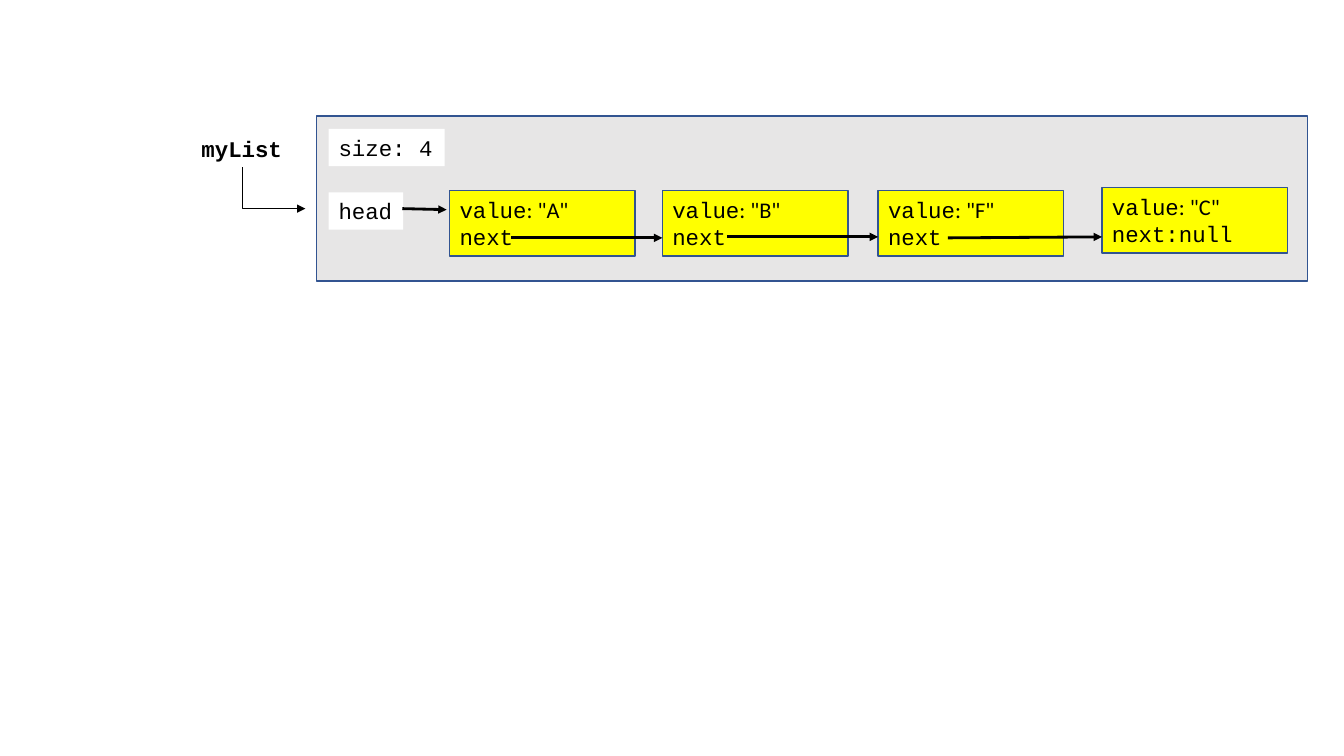
from lxml.etree import SubElement
from pptx import Presentation
from pptx.dml.color import RGBColor
from pptx.enum.shapes import MSO_CONNECTOR as Link, MSO_SHAPE as Shape
from pptx.enum.text import MSO_ANCHOR as Anchor, MSO_AUTO_SIZE as AutoSize, PP_ALIGN as Align
from pptx.oxml.ns import qn
from pptx.util import Inches, Pt

BLACK = RGBColor(0x00, 0x00, 0x00)
WHITE = RGBColor(0xFF, 0xFF, 0xFF)
GREY = RGBColor(0xE7, 0xE6, 0xE6)
YELLOW = RGBColor(0xFF, 0xFF, 0x00)
BLUE = RGBColor(0x32, 0x54, 0x91)
CODE, PLAIN = "Courier New", "Calibri"

LIST_NAME = ("myList", (1.9, 1.29, 1.01, 0.37))
LIST_OBJECT = (3.14, 1.15, 9.83, 1.64)
FIELDS = [
    ("size: 4", (3.26, 1.28, 1.15, 0.37)),
    ("head", (3.26, 1.91, 0.74, 0.37)),
]
NODE_SIZE = (1.84, 0.65)
# value, next field, left, top
NODES = [
    ("A", "next", 4.46, 1.89),
    ("B", "next", 6.57, 1.89),
    ("F", "next", 8.71, 1.89),
    ("C", "next:null", 10.93, 1.86),
]
# start x, start y, end x, end y
POINTERS = [
    (3.99, 2.07, 4.43, 2.08),
    (5.07, 2.36, 6.57, 2.36),
    (7.21, 2.35, 8.71, 2.35),
    (9.4, 2.36, 10.93, 2.35),
]
NAME_START, NAME_END = (2.4, 1.66), (3.03, 2.07)


def add_box(slide, place, fill, outline=None):
    box = slide.shapes.add_shape(Shape.RECTANGLE, *map(Inches, place))
    box.shadow.inherit = False
    box.fill.solid()
    box.fill.fore_color.rgb = fill
    if outline is None:
        box.line.fill.background()
    else:
        box.line.color.rgb = outline
        box.line.width = Pt(1)
    return box


def add_run(paragraph, words, font=CODE, bold=False):
    paragraph.alignment = Align.LEFT
    run = paragraph.add_run()
    run.text = words
    run.font.name = font
    run.font.size = Pt(16)
    run.font.bold = bold
    run.font.color.rgb = BLACK


def write_label(box, words, bold=False):
    """Put one line into a box that fits its text."""
    frame = box.text_frame
    frame.word_wrap = False
    frame.auto_size = AutoSize.SHAPE_TO_FIT_TEXT
    frame.vertical_anchor = Anchor.TOP
    add_run(frame.paragraphs[0], words, bold=bold)


def add_arrow(slide, ends, width, kind=Link.STRAIGHT):
    arrow = slide.shapes.add_connector(kind, *map(Inches, ends))
    arrow.line.color.rgb = BLACK
    arrow.line.width = Pt(width)
    properties = arrow.element.spPr
    SubElement(properties.find(qn("a:ln")), qn("a:tailEnd"), type="triangle")
    SubElement(properties, qn("a:effectLst"))
    return arrow


def add_corner_arrow(slide, start, end, width):
    """Go down, then right: a one-bend connector turned by 270 degrees."""
    (x1, y1), (x2, y2) = start, end
    middle_x, middle_y = (x1 + x2) / 2, (y1 + y2) / 2
    half_w, half_h = (y2 - y1) / 2, (x2 - x1) / 2
    unturned = (middle_x + half_w, middle_y - half_h,
                middle_x - half_w, middle_y + half_h)
    properties = add_arrow(slide, unturned, width, Link.ELBOW).element.spPr
    properties.find(qn("a:prstGeom")).set("prst", "bentConnector2")
    properties.find(qn("a:xfrm")).set("rot", str(270 * 60000))


def add_node(slide, value, next_field, left, top):
    frame = add_box(slide, (left, top, *NODE_SIZE), YELLOW, BLUE).text_frame
    frame.word_wrap = True
    frame.vertical_anchor = Anchor.MIDDLE
    value_line = frame.paragraphs[0]
    add_run(value_line, "value")
    add_run(value_line, f': "{value}"', PLAIN)
    add_run(frame.add_paragraph(), next_field)


def main():
    deck = Presentation()
    deck.slide_width, deck.slide_height = Inches(13.33), Inches(7.5)
    slide = deck.slides.add_slide(deck.slide_layouts[6])

    name, name_place = LIST_NAME
    write_label(slide.shapes.add_textbox(*map(Inches, name_place)), name, bold=True)
    add_box(slide, LIST_OBJECT, GREY, BLUE)
    for field, place in FIELDS:
        write_label(add_box(slide, place, WHITE), field)
    for node in NODES:
        add_node(slide, *node)
    for ends in POINTERS:
        add_arrow(slide, ends, 2)
    add_corner_arrow(slide, NAME_START, NAME_END, 0.5)

    deck.save("out.pptx")


if __name__ == "__main__":
    main()
